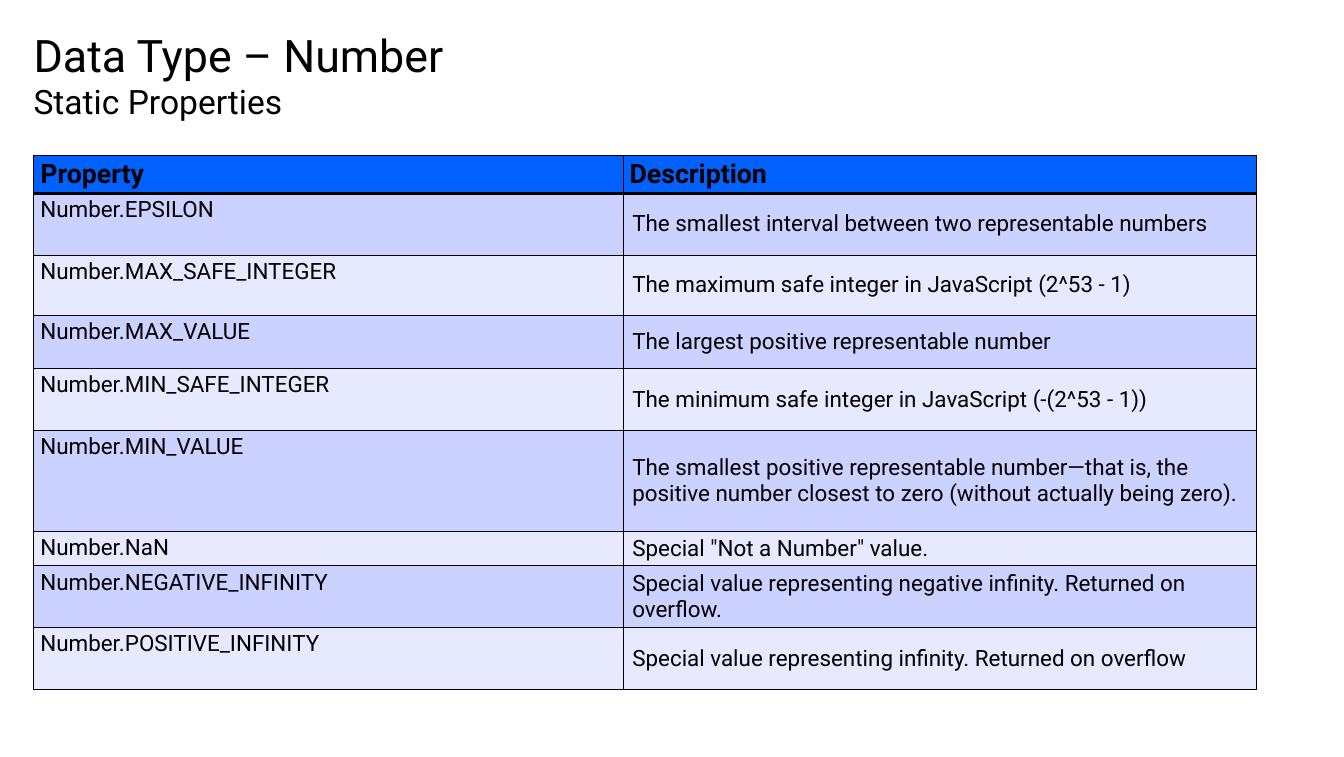
from lxml import etree
from pptx import Presentation
from pptx.dml.color import RGBColor
from pptx.enum import text
from pptx.oxml.ns import qn
from pptx.util import Inches, Pt

FONT = "Roboto"
BLACK = RGBColor(0x00, 0x00, 0x00)
BLUE = RGBColor(0x00, 0x61, 0xFF)
BANDS = (RGBColor(0xCC, 0xD2, 0xFF), RGBColor(0xE7, 0xEA, 0xFF))

COL_WIDTHS = (8.77, 9.42)
ROW_HEIGHTS = (0.5, 0.92, 0.89, 0.8, 0.92, 1.5, 0.51, 0.92, 0.92)
ROWS = (
    ("Property", "Description"),
    ("Number.EPSILON", "The smallest interval between two representable numbers"),
    ("Number.MAX_SAFE_INTEGER", "The maximum safe integer in JavaScript (2^53 - 1)"),
    ("Number.MAX_VALUE", "The largest positive representable number"),
    ("Number.MIN_SAFE_INTEGER", "The minimum safe integer in JavaScript (-(2^53 - 1))"),
    ("Number.MIN_VALUE",
     "The smallest positive representable number—that is, the positive number "
     "closest to zero (without actually being zero)."),
    ("Number.NaN", 'Special "Not a Number" value.'),
    ("Number.NEGATIVE_INFINITY",
     "Special value representing negative infinity. Returned on overflow."),
    ("Number.POSITIVE_INFINITY",
     "Special value representing infinity. Returned on overflow"),
)


def style_paragraph(p, size, bold=False):
    """Set the font of a whole paragraph."""
    p.alignment = text.PP_ALIGN.LEFT
    p.font.name = FONT
    p.font.size = Pt(size)
    p.font.bold = bold
    p.font.color.rgb = BLACK


def fill_frame(tf, words, size):
    """Write one line at the top left of a frame without insets."""
    tf.margin_left = tf.margin_top = tf.margin_right = tf.margin_bottom = 0
    tf.vertical_anchor = text.MSO_ANCHOR.TOP
    tf.text = words
    style_paragraph(tf.paragraphs[0], size)


def add_title(slide, words):
    """Place and format the title placeholder."""
    sp = slide.shapes.title
    sp.left, sp.top, sp.width, sp.height = map(Inches, (0.5, 0.5, 9, 9.35))
    fill_frame(sp.text_frame, words, 48)
    sp.text_frame.auto_size = text.MSO_AUTO_SIZE.NONE
    sp.text_frame.paragraphs[0].line_spacing = 0.9


def add_subtitle(slide, words):
    """Add the line below the title."""
    sp = slide.shapes.add_textbox(*map(Inches, (0.5, 1.2, 3.77, 0.61)))
    fill_frame(sp.text_frame, words, 36)
    sp.text_frame.word_wrap = False
    sp.text_frame.auto_size = text.MSO_AUTO_SIZE.SHAPE_TO_FIT_TEXT


def set_borders(cell, top, bottom):
    """Draw black cell borders, with the given top and bottom widths."""
    tc_pr = cell._tc.get_or_add_tcPr()
    for side, width in (("L", 1), ("R", 1), ("T", top), ("B", bottom)):
        ln = etree.SubElement(tc_pr, qn(f"a:ln{side}"), w=str(Pt(width)))
        fill = etree.SubElement(ln, qn("a:solidFill"))
        etree.SubElement(fill, qn("a:srgbClr"), val=str(BLACK))


def format_cell(cell, row, col):
    """Give a cell the look of its row and column."""
    header = row == 0
    set_borders(cell, 3 if row == 1 else 1, 3 if header else 1)
    cell.fill.solid()
    cell.fill.fore_color.rgb = BLUE if header else BANDS[(row - 1) % 2]
    style_paragraph(cell.text_frame.paragraphs[0], 28.6 if header else 24, header)
    if col == 1 and not header:
        cell.vertical_anchor = text.MSO_ANCHOR.MIDDLE
        cell.margin_left = cell.margin_right = Inches(0.14)
        cell.margin_top = cell.margin_bottom = Inches(0.06)


def add_property_table(slide):
    """Add the table of static properties."""
    table = slide.shapes.add_table(
        len(ROWS), len(COL_WIDTHS), Inches(0.5), Inches(2.31),
        Inches(sum(COL_WIDTHS)), Inches(sum(ROW_HEIGHTS))).table
    for column, width in zip(table.columns, COL_WIDTHS):
        column.width = Inches(width)
    for i, (height, values) in enumerate(zip(ROW_HEIGHTS, ROWS)):
        table.rows[i].height = Inches(height)
        for j, value in enumerate(values):
            cell = table.cell(i, j)
            cell.text = value
            format_cell(cell, i, j)


def main():
    """Build the slide and save it."""
    prs = Presentation()
    prs.slide_width, prs.slide_height = Inches(20), Inches(11.26)
    slide = prs.slides.add_slide(prs.slide_layouts[5])
    add_title(slide, "Data Type – Number")
    add_property_table(slide)
    add_subtitle(slide, "Static Properties")
    prs.save("out.pptx")


if __name__ == "__main__":
    main()
